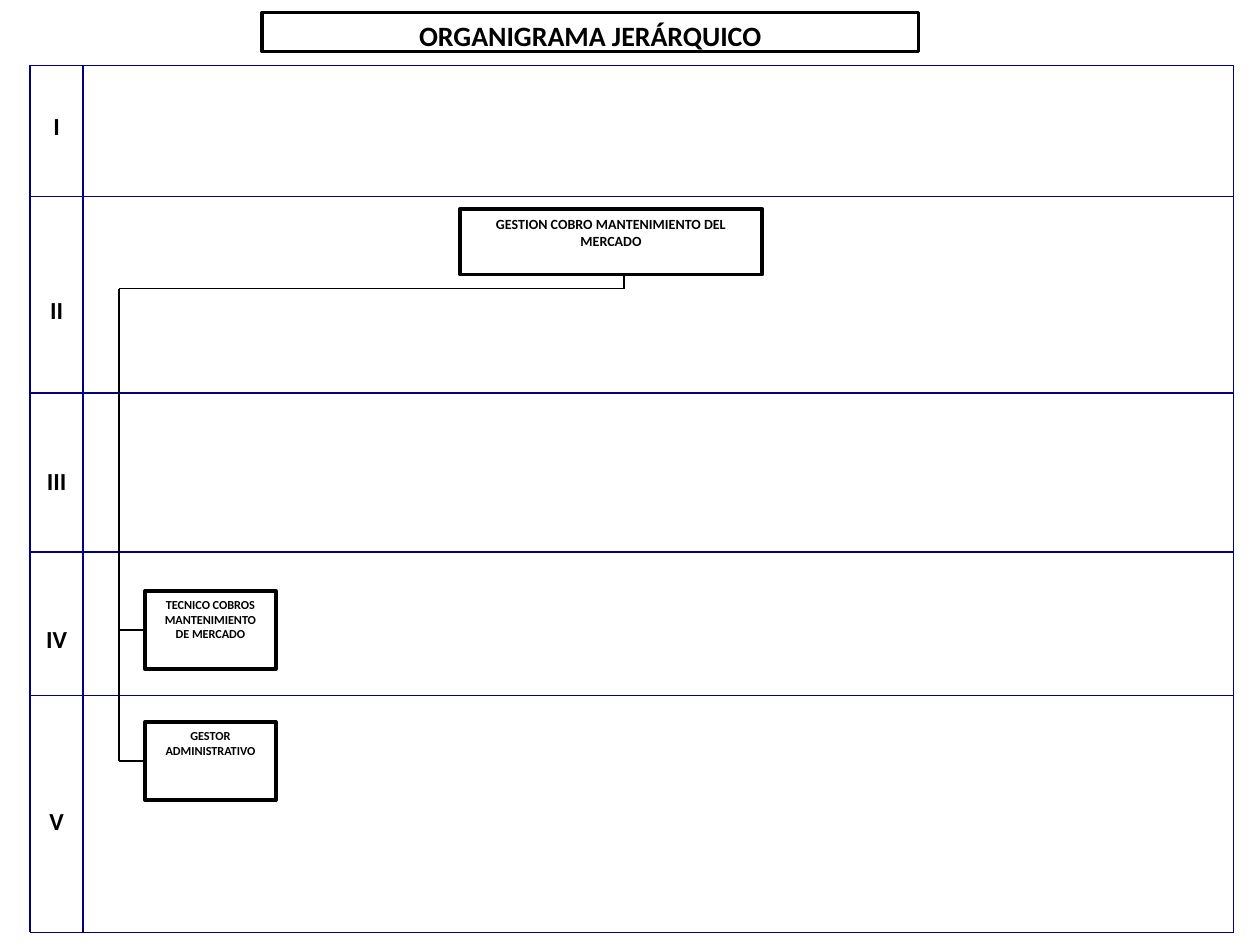
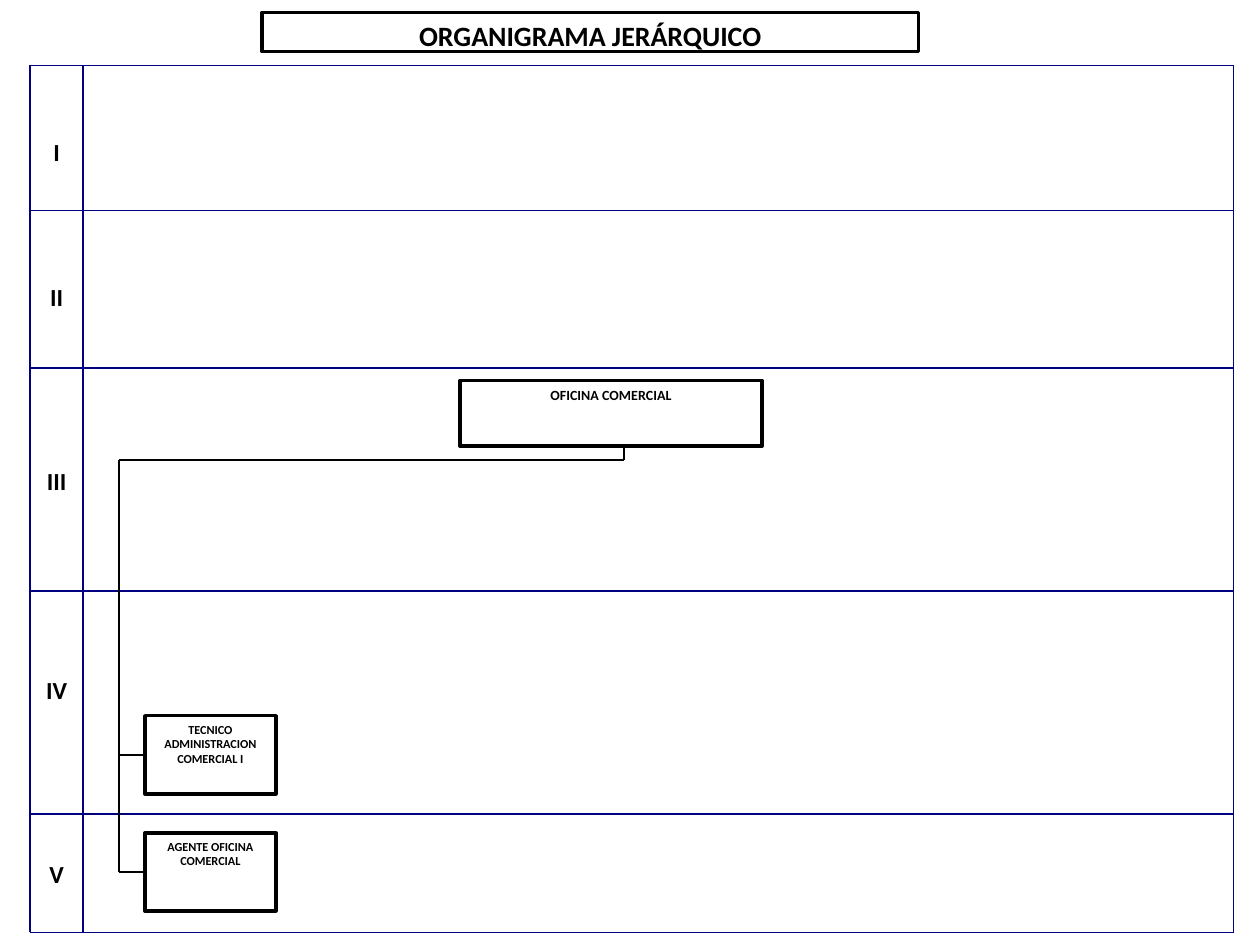
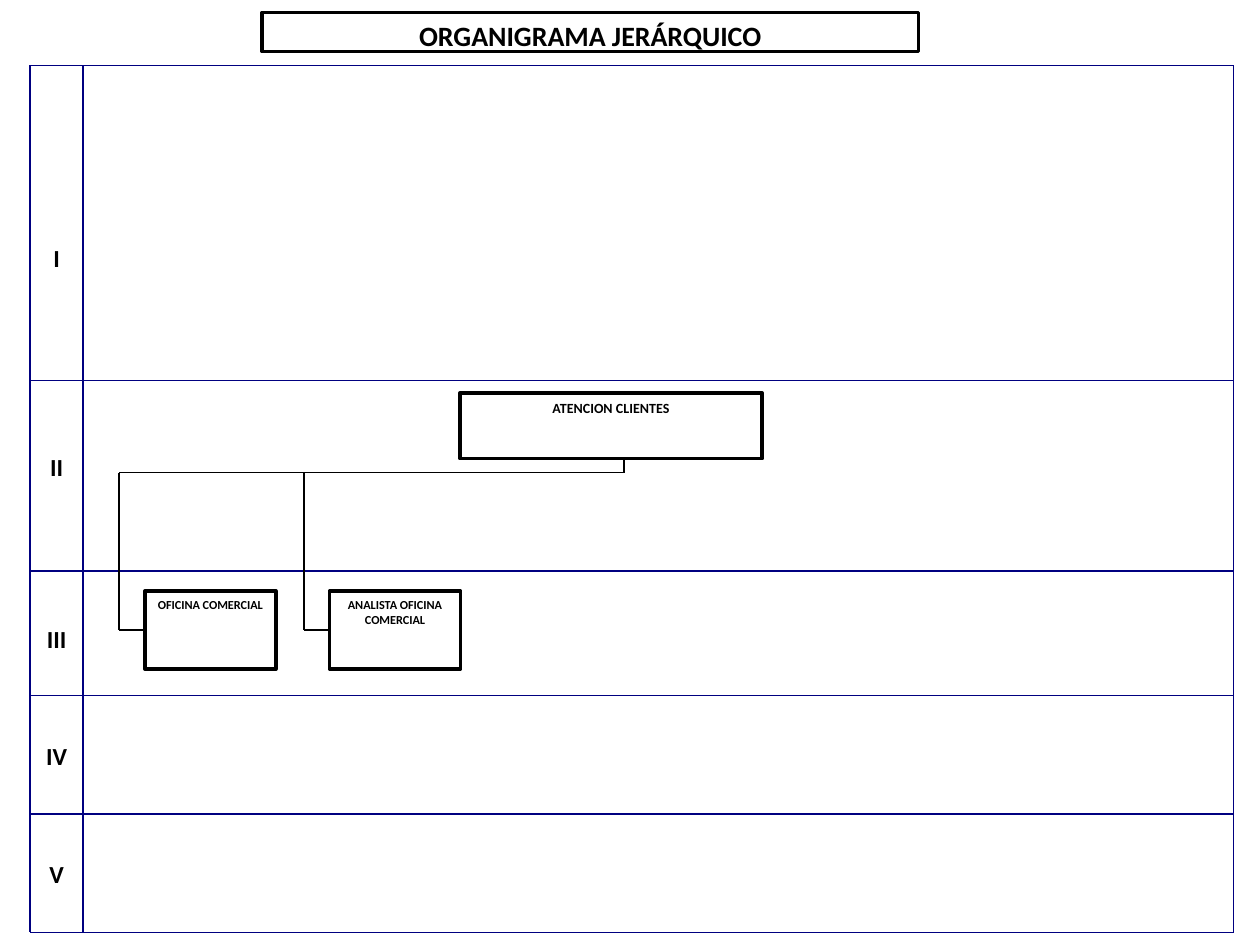
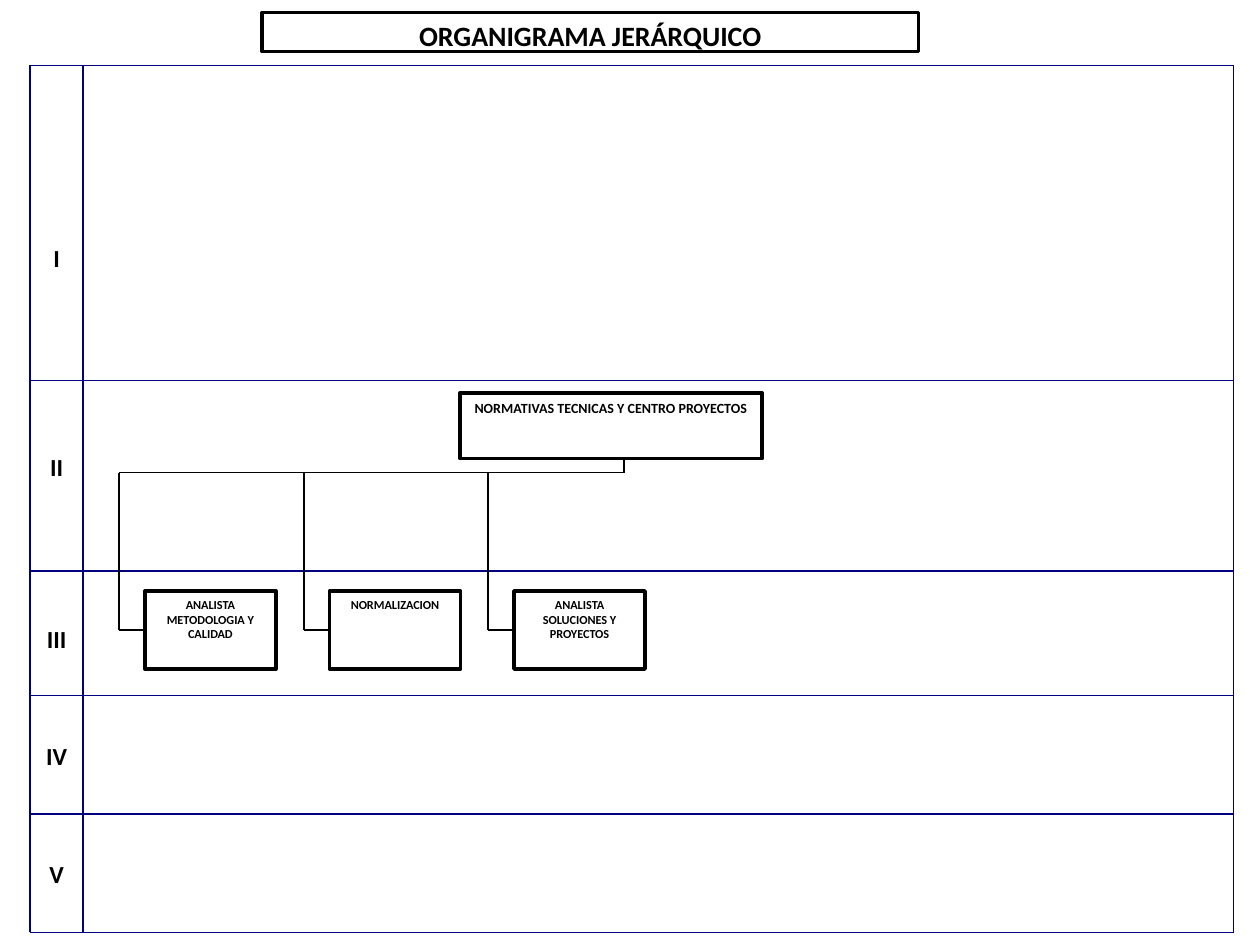
"""Build four hierarchical organisation charts drawn on a five-level grid."""
import pptx
import pptx.dml.color
import pptx.enum.shapes
import pptx.enum.text
import pptx.oxml.ns
import pptx.util
from lxml import etree
from pptx.util import Inches

COLORS = {"ink": "000000", "grid": "000080"}
FONT = "Calibri"
TITLE = "ORGANIGRAMA JERÁRQUICO"
LEVELS = ("I", "II", "III", "IV", "V")

LOWER_HALF_GRID = {
    "dividers": (3.02, 4.53, 5.52, 6.46),
    "label_tops": (1.88, 3.54, 4.9, 5.83, 6.77),
    "lead_level": "II",
}
CHARTS = [
    {
        "dividers": (1.56, 3.12, 4.38, 5.52),
        "label_tops": (0.83, 2.29, 3.65, 4.9, 6.35),
        "lead_level": "II",
        "lead": "GESTION COBRO MANTENIMIENTO DEL MERCADO",
        "posts": [
            ("TECNICO COBROS MANTENIMIENTO DE MERCADO", 0, 4.69),
            ("GESTOR ADMINISTRATIVO", 0, 5.73),
        ],
    },
    {
        "dividers": (1.67, 2.92, 4.69, 6.46),
        "label_tops": (1.04, 2.19, 3.65, 5.31, 6.77),
        "lead_level": "III",
        "lead": "OFICINA COMERCIAL",
        "posts": [
            ("TECNICO ADMINISTRACION COMERCIAL I", 0, 5.68),
            ("AGENTE OFICINA COMERCIAL", 0, 6.61),
        ],
    },
    {
        **LOWER_HALF_GRID,
        "lead": "ATENCION CLIENTES",
        "posts": [
            ("OFICINA COMERCIAL", 0, 4.69),
            ("ANALISTA OFICINA COMERCIAL", 1, 4.69),
        ],
    },
    {
        **LOWER_HALF_GRID,
        "lead": "NORMATIVAS TECNICAS Y CENTRO PROYECTOS",
        "posts": [
            ("ANALISTA METODOLOGIA Y CALIDAD", 0, 4.69),
            ("NORMALIZACION", 1, 4.69),
            ("ANALISTA SOLUCIONES Y PROYECTOS", 2, 4.69),
        ],
    },
]

GRID_LEFT, GRID_RIGHT, GRID_TOP, GRID_BOTTOM = 0.24, 9.79, 0.52, 7.4
LABEL_WIDTH, LABEL_HEIGHT = 0.42, 0.31
LEAD_LEFT, LEAD_WIDTH, LEAD_HEIGHT = 3.65, 2.4, 0.52
LEAD_GAP, BUS_GAP, STEM_X = 0.1, 0.73, 4.95
POST_LEFT, POST_WIDTH, POST_HEIGHT, POST_PITCH = 1.15, 1.04, 0.62, 1.465
BRANCH_GAP = 0.205


def color(name):
    return pptx.dml.color.RGBColor.from_string(COLORS[name])


def write(shape, text, size):
    frame = shape.text_frame
    frame.text = text
    frame.word_wrap = True
    frame.auto_size = pptx.enum.text.MSO_AUTO_SIZE.NONE
    frame.vertical_anchor = pptx.enum.text.MSO_ANCHOR.TOP
    paragraph = frame.paragraphs[0]
    paragraph.alignment = pptx.enum.text.PP_ALIGN.CENTER
    font = paragraph.runs[0].font
    font.name, font.size, font.bold = FONT, pptx.util.Pt(size), True
    font.color.rgb = color("ink")


def outline(shape):
    shape.fill.background()
    shape.line.color.rgb = color("ink")
    shape.line.width = pptx.util.Pt(2)


def add_title(slide):
    title = slide.shapes.title
    title.left, title.top = Inches(2.08), Inches(0.1)
    title.width, title.height = Inches(5.21), Inches(0.31)
    outline(title)
    write(title, TITLE, 16)


def add_box(slide, text, left, top, width, height, size):
    box = slide.shapes.add_shape(
        pptx.enum.shapes.MSO_SHAPE.RECTANGLE,
        Inches(left), Inches(top), Inches(width), Inches(height))
    box.shadow.inherit = False
    outline(box)
    write(box, text, size)
    return box


def add_line(slide, x1, y1, x2, y2, color_name="ink"):
    line = slide.shapes.add_connector(
        pptx.enum.shapes.MSO_CONNECTOR.STRAIGHT,
        Inches(x1), Inches(y1), Inches(x2), Inches(y2))
    line.line.color.rgb = color(color_name)
    line.line.width = pptx.util.Pt(1)
    etree.SubElement(line._element.spPr, pptx.oxml.ns.qn("a:effectLst"))
    return line


def add_grid(slide, chart):
    for y in (GRID_TOP, *chart["dividers"], GRID_BOTTOM):
        add_line(slide, GRID_LEFT, y, GRID_RIGHT, y, "grid")
    for x in (GRID_LEFT, GRID_LEFT + LABEL_WIDTH, GRID_RIGHT):
        add_line(slide, x, GRID_TOP, x, GRID_BOTTOM, "grid")
    for level, top in zip(LEVELS, chart["label_tops"]):
        label = slide.shapes.add_textbox(
            Inches(GRID_LEFT), Inches(top),
            Inches(LABEL_WIDTH), Inches(LABEL_HEIGHT))
        write(label, level, 14)


def add_hierarchy(slide, chart):
    row_top = (GRID_TOP, *chart["dividers"])[LEVELS.index(chart["lead_level"])]
    lead_top, bus_y = row_top + LEAD_GAP, row_top + BUS_GAP
    add_box(slide, chart["lead"], LEAD_LEFT, lead_top, LEAD_WIDTH, LEAD_HEIGHT, 8)
    add_line(slide, STEM_X, lead_top + LEAD_HEIGHT, STEM_X, bus_y)
    add_line(slide, POST_LEFT - BRANCH_GAP, bus_y, STEM_X, bus_y)
    for text, column, top in chart["posts"]:
        left = POST_LEFT + column * POST_PITCH
        branch_x, middle_y = left - BRANCH_GAP, top + POST_HEIGHT / 2
        post = add_box(slide, text, left, top, POST_WIDTH, POST_HEIGHT, 7)
        branch = add_line(slide, branch_x, middle_y, left, middle_y)
        branch.end_connect(post, 1)
        add_line(slide, branch_x, bus_y, branch_x, middle_y)


def main():
    presentation = pptx.Presentation()
    presentation.slide_width, presentation.slide_height = Inches(10), Inches(7.5)
    for chart in CHARTS:
        slide = presentation.slides.add_slide(presentation.slide_layouts[5])
        add_title(slide)
        add_grid(slide, chart)
        add_hierarchy(slide, chart)
    presentation.save("out.pptx")


if __name__ == "__main__":
    main()
